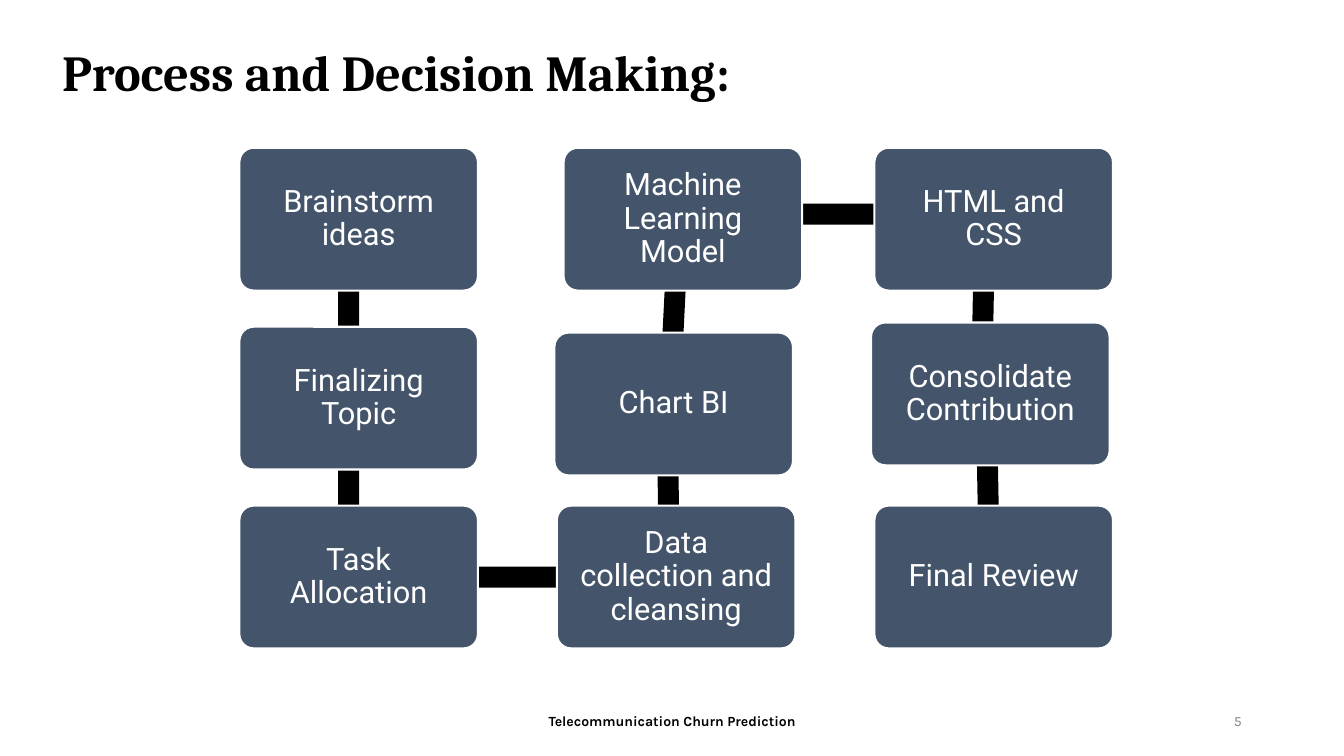
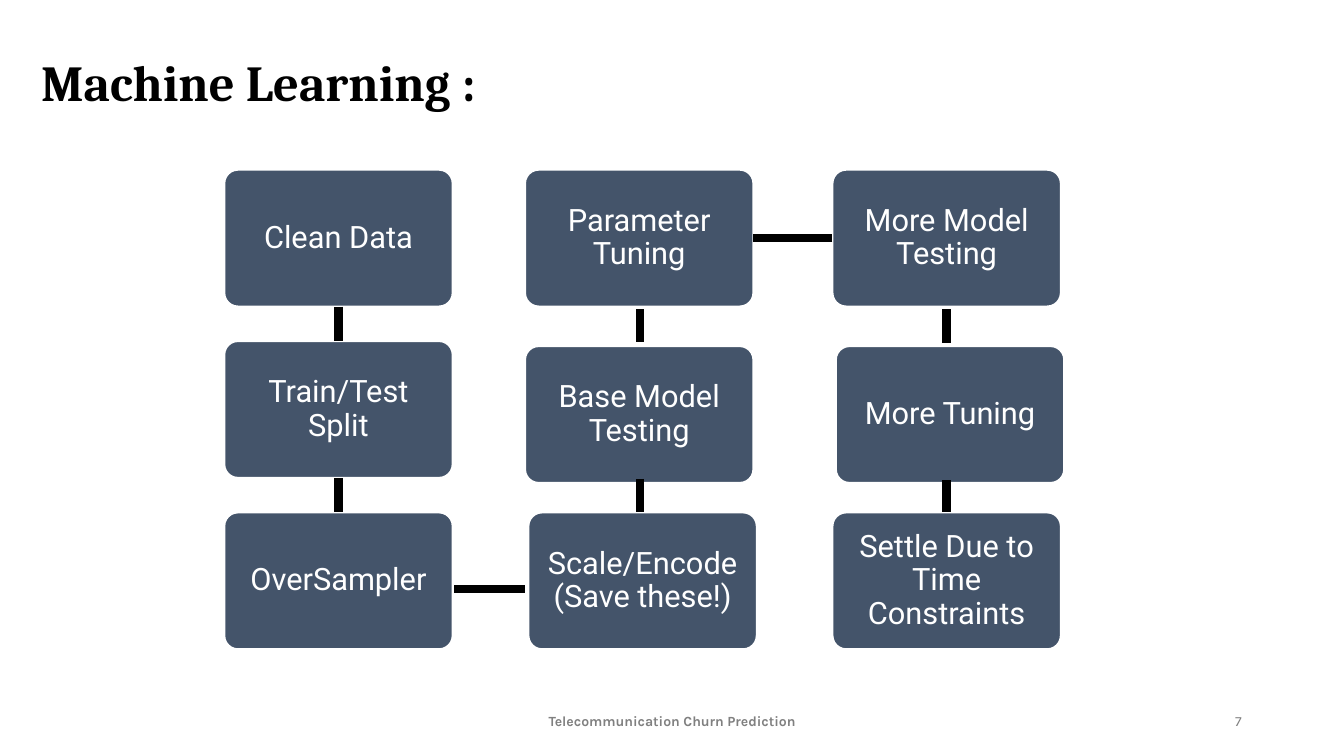
from dataclasses import dataclass
from math import atan2, degrees, hypot

from lxml.etree import SubElement
from pptx import Presentation
from pptx.dml.color import RGBColor
from pptx.enum.shapes import MSO_CONNECTOR, MSO_SHAPE
from pptx.enum.text import MSO_ANCHOR, PP_ALIGN
from pptx.oxml.ns import qn
from pptx.util import Inches, Pt

COLUMNS, ROWS = 160, 90


@dataclass(frozen=True)
class Theme:
    ink: RGBColor = RGBColor(0, 0, 0)
    paper: RGBColor = RGBColor(255, 255, 255)
    muted: RGBColor = RGBColor(0x80, 0x80, 0x80)
    box: RGBColor = RGBColor(0x44, 0x54, 0x6A)
    title_font: str = "Cambria"
    box_font: str = "Roboto"
    footer_font: str = "Karla"
    title_size: int = 36
    box_size: int = 22
    footer_size: int = 10
    border_width: float = 1.5
    link_width: int = 6
    bar_rows: float = 2.5


class Deck:
    """Draws on the current slide; lengths are columns and rows of the grid."""

    def __init__(self, theme):
        self.theme = theme
        self.presentation = Presentation()
        self.presentation.slide_width = Inches(13.33)
        self.presentation.slide_height = Inches(7.5)
        self.slide = None

    def place(self, column, row):
        return (round(self.presentation.slide_width * column / COLUMNS),
                round(self.presentation.slide_height * row / ROWS))

    def new_slide(self, title, title_place, page, footer_color):
        theme = self.theme
        self.slide = self.presentation.slides.add_slide(self.presentation.slide_layouts[6])
        self.text(title, (*title_place, 138, 8.4), theme.title_font, theme.title_size,
                  theme.ink, bold=True, spacing=0.9)
        self.text("Telecommunication Churn Prediction", (53, 83.4, 54, 4.8), theme.footer_font,
                  theme.footer_size, footer_color, bold=True, align=PP_ALIGN.CENTER)
        self.text(page, (113, 83.4, 36, 4.8), theme.footer_font, theme.footer_size,
                  theme.muted, align=PP_ALIGN.RIGHT)

    def style_text(self, shape, text, font, size, color, bold=False,
                   align=PP_ALIGN.LEFT, spacing=None):
        """Set and format the text of any shape."""
        frame = shape.text_frame
        frame.word_wrap = True
        frame.vertical_anchor = MSO_ANCHOR.MIDDLE
        frame.text = text
        for paragraph in frame.paragraphs:
            paragraph.alignment = align
            paragraph.line_spacing = spacing
            for run in paragraph.runs:
                run.font.name, run.font.size, run.font.bold = font, Pt(size), bold
                run.font.color.rgb = color

    def text(self, text, area, *style, **options):
        shape = self.slide.shapes.add_textbox(*self.place(*area[:2]), *self.place(*area[2:]))
        self.style_text(shape, text, *style, **options)

    def shape(self, kind, area, color):
        shape = self.slide.shapes.add_shape(
            kind, *self.place(*area[:2]), *self.place(*area[2:]))
        shape.shadow.inherit = False
        shape.fill.solid()
        shape.fill.fore_color.rgb = color
        shape.line.fill.background()
        return shape

    def box(self, label, area):
        theme = self.theme
        shape = self.shape(MSO_SHAPE.ROUNDED_RECTANGLE, area, theme.box)
        shape.adjustments[0] = 0.1
        shape.line.color.rgb = theme.paper
        shape.line.width = Pt(theme.border_width)
        frame = shape.text_frame
        frame.margin_left = frame.margin_right = Inches(0.13)
        frame.margin_top = frame.margin_bottom = Inches(0.13)
        self.style_text(shape, label, theme.box_font, theme.box_size, theme.paper,
                        align=PP_ALIGN.CENTER, spacing=0.9)
        return shape

    def bar(self, center, run, rise):
        """Draw a thick bar as long and as steep as the step between two boxes."""
        length, thickness = hypot(run, rise), self.theme.bar_rows
        area = (center[0] - length / 2, center[1] - thickness / 2, length, thickness)
        shape = self.shape(MSO_SHAPE.RECTANGLE, area, self.theme.ink)
        shape.rotation = degrees(atan2(rise, run))

    def link(self, start=(0, 0), end=(0, 0)):
        connector = self.slide.shapes.add_connector(
            MSO_CONNECTOR.STRAIGHT, *self.place(*start), *self.place(*end))
        connector.line.color.rgb = self.theme.ink
        connector.line.width = Pt(self.theme.link_width)
        SubElement(connector._element.spPr, qn("a:effectLst"))
        return connector


def snake_areas(origin, pitch, size, nudges):
    """Areas of nine boxes running down, up and down three columns."""
    areas = []
    for index in range(9):
        column, row = divmod(index, 3)
        if column == 1:
            row = 2 - row
        shift = nudges.get(index, (0, 0))
        areas.append((origin[0] + pitch[0] * column + shift[0],
                      origin[1] + pitch[1] * row + shift[1], *size))
    return areas


def process_slide(deck):
    deck.new_slide("Process and Decision Making:", (6.2, 4.7), "5", deck.theme.ink)
    labels = ["Brainstorm ideas", "Finalizing Topic", "Task Allocation",
              "Data collection and cleansing", "Chart BI", "Machine Learning Model",
              "HTML and CSS", "Consolidate Contribution", "Final Review"]
    areas = snake_areas((28.5, 17.6), (37.8, 21.3), (28.4, 17),
                        {4: (-0.3, 0.7), 5: (0.8, 0), 7: (-0.4, -0.5)})
    bar_centers = [(41.5, 33.3), (41.5, 53), (53.2, 68.7), (79.5, 54.2),
                   (80.5, 32.1), (91.1, 25.5), (117.1, 33.1), (117.5, 52.7)]
    for center, area, following in zip(bar_centers, areas, areas[1:]):
        deck.bar(center, following[0] - area[0], following[1] - area[1])
    for label, area in zip(labels, areas):
        deck.box(label, area)


def learning_slide(deck):
    deck.new_slide("Machine Learning :", (3.7, 5.9), "7", deck.theme.muted)
    labels = ["Clean Data", "Train/Test Split", "OverSampler",
              "Scale/Encode\v(Save these!)", "Base Model Testing", "Parameter Tuning",
              "More Model Testing", "More Tuning", "Settle Due to Time Constraints"]
    areas = snake_areas((26.7, 20.2), (36.2, 20.4), (27.2, 16.3),
                        {4: (-0.4, 0.6), 5: (-0.4, 0), 7: (0.4, 0.6)})
    boxes = [deck.box(label, area) for label, area in zip(labels, areas)]

    top, left, bottom, right = range(4)
    for first, first_side, second, second_side in [
            (0, bottom, 1, top), (1, bottom, 2, top), (6, left, 5, right)]:
        connector = deck.link()
        connector.begin_connect(boxes[first], first_side)
        connector.end_connect(boxes[second], second_side)
    deck.link((112.7, 57.2)).end_connect(boxes[8], top)
    for start, end in [((62.5, 70.1), (54, 70.1)), ((76.2, 36.8), (76.2, 40.7)),
                       ((112.7, 36.8), (112.7, 40.8)), ((76.2, 57), (76.2, 61))]:
        deck.link(start, end)


def main():
    deck = Deck(Theme())
    process_slide(deck)
    learning_slide(deck)
    deck.presentation.save("out.pptx")


if __name__ == "__main__":
    main()
